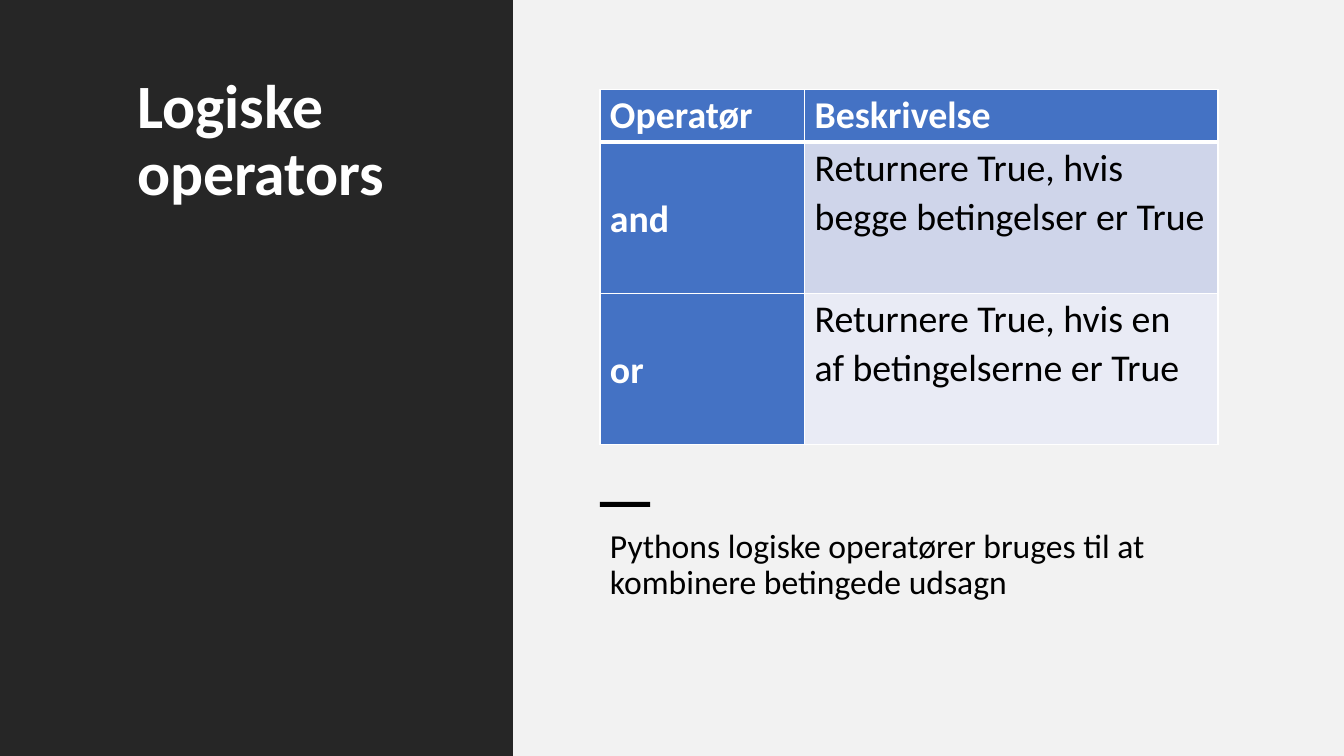
from dataclasses import dataclass

from lxml import etree
from pptx import Presentation
from pptx.dml.color import RGBColor
from pptx.enum.shapes import MSO_SHAPE
from pptx.enum.text import MSO_ANCHOR, MSO_AUTO_SIZE, PP_ALIGN
from pptx.oxml.ns import qn
from pptx.util import Inches, Pt

RECTANGLE = MSO_SHAPE.RECTANGLE
TOP, MIDDLE = MSO_ANCHOR.TOP, MSO_ANCHOR.MIDDLE
NO_AUTOFIT = MSO_AUTO_SIZE.NONE
LEFT = PP_ALIGN.LEFT


@dataclass(frozen=True)
class Theme:
    """Colours, font and type sizes of the slide."""
    font: str = "Calibri"
    dark: str = "262626"
    light: str = "F2F2F2"
    white: str = "FFFFFF"
    black: str = "000000"
    accent: str = "4472C4"
    bands: tuple = ("CFD5EA", "E9EBF5")
    title_size: int = 44
    body_size: int = 24
    table_size: int = 27


THEME = Theme()
OPERATORS = [
    ("Operatør", "Beskrivelse"),
    ("and", "Returnere True, hvis begge betingelser er True"),
    ("or", "Returnere True, hvis en af betingelserne er True"),
]
COLUMN_WIDTHS = (2.03, 4.1)
ROW_HEIGHTS = (0.52, 1.5, 1.5)


def format_text(text_frame, size, color, bold=False, spacing=0.9):
    """Format the first paragraph of a text frame."""
    paragraph = text_frame.paragraphs[0]
    paragraph.alignment = LEFT
    paragraph.line_spacing = spacing
    font = paragraph.runs[0].font
    font.name, font.size, font.bold = THEME.font, Pt(size), bold
    font.color.rgb = RGBColor.from_string(color)
    return paragraph


def add_rectangle(slide, left, top, width, height, color):
    """Add a plain filled rectangle behind the placeholders."""
    shape = slide.shapes.add_shape(
        RECTANGLE, Inches(left), Inches(top), Inches(width), Inches(height))
    shape.shadow.inherit = False
    shape.fill.solid()
    shape.fill.fore_color.rgb = RGBColor.from_string(color)
    shape.line.fill.background()
    return shape


def send_to_back(shape):
    """Move a shape behind everything else on the slide."""
    shape.element.getparent().insert(2, shape.element)


def fill_placeholder(placeholder, left, top, width, height, text):
    """Place a placeholder and set its text, aligned to the top."""
    placeholder.left, placeholder.top = Inches(left), Inches(top)
    placeholder.width, placeholder.height = Inches(width), Inches(height)
    text_frame = placeholder.text_frame
    text_frame.text = text
    text_frame.word_wrap = True
    text_frame.auto_size = NO_AUTOFIT
    text_frame.vertical_anchor = TOP
    return text_frame


def remove_bullet(paragraph):
    """Remove the bullet and its indent from a paragraph."""
    properties = paragraph._p.get_or_add_pPr()
    properties.set("marL", "0")
    properties.set("indent", "0")
    etree.SubElement(properties, qn("a:buNone"))


def set_borders(cell, widths):
    """Draw white borders with widths for left, right, top and bottom."""
    properties = cell._tc.get_or_add_tcPr()
    for index, (side, width) in enumerate(zip("LRTB", widths)):
        line = etree.Element(qn(f"a:ln{side}"), w=str(Pt(width)))
        fill = etree.SubElement(line, qn("a:solidFill"))
        etree.SubElement(fill, qn("a:srgbClr"), val=THEME.white)
        properties.insert(index, line)


def format_cell(cell, row, column):
    """Style a cell by its place in the table."""
    heading = row == 0 or column == 0
    cell.margin_left = cell.margin_right = Inches(0.1)
    cell.margin_top = cell.margin_bottom = 0
    cell.vertical_anchor = MIDDLE if row and heading else TOP
    cell.fill.solid()
    color = THEME.accent if heading else THEME.bands[row - 1]
    cell.fill.fore_color.rgb = RGBColor.from_string(color)
    format_text(cell.text_frame, THEME.table_size,
                THEME.white if heading else THEME.black, heading, 1.07)
    set_borders(cell, (1, 1, 3 if row == 1 else 1, 3 if row == 0 else 1))


def add_operator_table(slide, left, top):
    """Add the table of operators and their descriptions."""
    table = slide.shapes.add_table(
        len(ROW_HEIGHTS), len(COLUMN_WIDTHS), Inches(left), Inches(top),
        Inches(sum(COLUMN_WIDTHS)), Inches(sum(ROW_HEIGHTS))).table
    for column, width in zip(table.columns, COLUMN_WIDTHS):
        column.width = Inches(width)
    for row, height in zip(table.rows, ROW_HEIGHTS):
        row.height = Inches(height)
    for row, texts in enumerate(OPERATORS):
        for column, text in enumerate(texts):
            cell = table.cell(row, column)
            cell.text_frame.text = text
            format_cell(cell, row, column)


def main():
    """Build the slide and save it."""
    presentation = Presentation()
    presentation.slide_width = Inches(13.33)
    presentation.slide_height = Inches(7.5)
    slide = presentation.slides.add_slide(presentation.slide_layouts[1])

    send_to_back(add_rectangle(slide, 5.09, 0, 8.24, 7.5, THEME.light))
    send_to_back(add_rectangle(slide, 0, 0, 5.09, 7.5, THEME.dark))

    title = fill_placeholder(slide.shapes.title, 1.26, 0.7, 3.18, 6.1,
                             "Logiske operators")
    format_text(title, THEME.title_size, THEME.white, bold=True)

    body = fill_placeholder(
        slide.placeholders[1], 5.95, 5.2, 6.12, 1.6,
        "Pythons logiske operatører bruges til at kombinere betingede udsagn")
    paragraph = format_text(body, THEME.body_size, THEME.black)
    paragraph.space_before = Pt(10)
    remove_bullet(paragraph)

    add_rectangle(slide, 5.95, 4.98, 0.5, 0.05, THEME.black)
    add_operator_table(slide, 5.95, 0.89)
    presentation.save("out.pptx")


if __name__ == "__main__":
    main()
